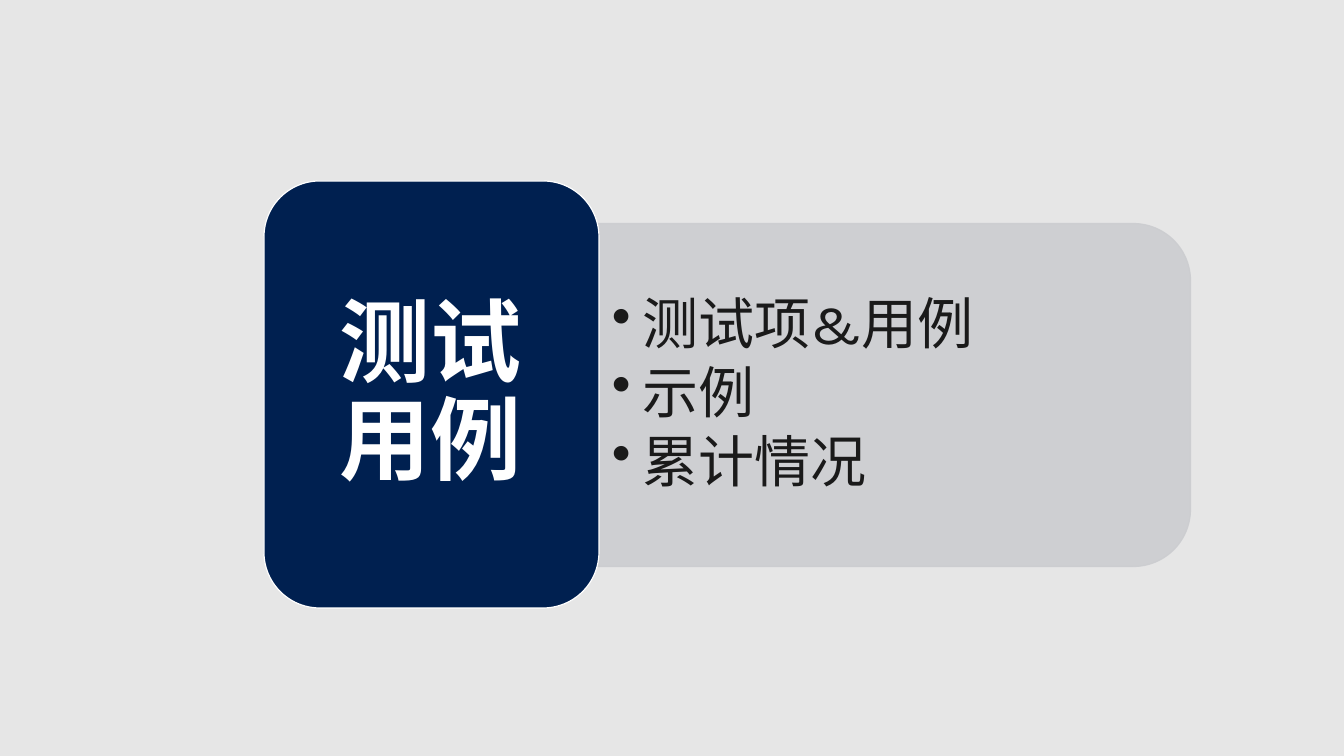
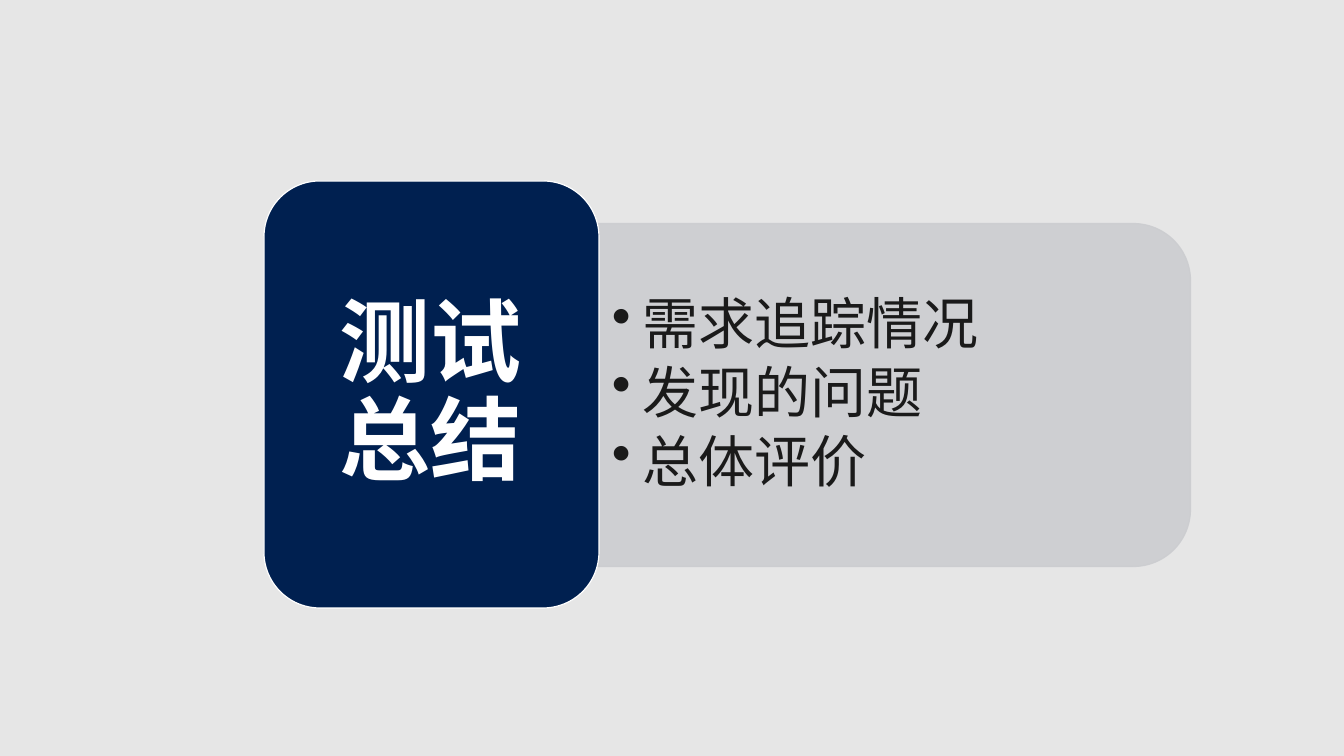
from lxml.etree import SubElement
from pptx import Presentation
from pptx.dml.color import RGBColor
from pptx.enum.shapes import MSO_SHAPE as SHAPE
from pptx.enum.text import MSO_ANCHOR as ANCHOR, MSO_AUTO_SIZE as AUTOSIZE, PP_ALIGN as ALIGN
from pptx.oxml.ns import qn
from pptx.util import Emu, Pt

SCALE = 12192000 / 1344
FONT = "Karla"
COLORS = {
    "back": "E6E6E6",
    "panel": "CCCDD0",
    "card": "002050",
    "white": "FFFFFF",
    "ink": "1A1A1A",
}
SECTIONS = [
    ("测试用例", ["测试项&用例", "示例", "累计情况"]),
    ("测试总结", ["需求追踪情况", "发现的问题", "总体评价"]),
]


def px(*lengths):
    return [Emu(round(n * SCALE)) for n in lengths]


def add_text(tf, lines, size, color, bold, align, after, insets):
    tf.word_wrap = True
    tf.auto_size = AUTOSIZE.NONE
    tf.vertical_anchor = ANCHOR.MIDDLE
    tf.margin_left, tf.margin_top = tf.margin_right, tf.margin_bottom = px(*insets)
    for i, line in enumerate(lines):
        p = tf.paragraphs[0] if i == 0 else tf.add_paragraph()
        p.alignment = align
        p.line_spacing = 0.9
        pPr = p._p.get_or_add_pPr()
        spacing = SubElement(pPr, qn("a:spcAft"))
        SubElement(spacing, qn("a:spcPct")).set("val", str(after * 1000))
        r = p.add_run()
        r.text = line
        r.font.name = FONT
        r.font.size = Pt(size)
        r.font.bold = bold
        r.font.color.rgb = RGBColor.from_string(COLORS[color])


prs = Presentation()
prs.slide_width, prs.slide_height = px(1344, 756)
back = prs.slide_master.background.fill
back.solid()
back.fore_color.rgb = RGBColor.from_string(COLORS["back"])

for heading, items in SECTIONS:
    s = prs.slides.add_slide(prs.slide_layouts[5])

    panel = s.shapes.add_shape(SHAPE.ROUND_2_SAME_RECTANGLE, *px(721, 97, 343, 596))
    panel.rotation = 90
    box = s.shapes.add_textbox(*px(595, 241, 579, 308))
    card = s.shapes.add_shape(SHAPE.ROUNDED_RECTANGLE, *px(264, 181, 335, 427))

    for sp, fill, line in [(panel, "panel", "panel"), (card, "card", "white")]:
        sp.shadow.inherit = False
        sp.fill.solid()
        sp.fill.fore_color.rgb = RGBColor.from_string(COLORS[fill])
        sp.line.color.rgb = RGBColor.from_string(COLORS[line])
        sp.line.width = Pt(0.85)
    for clr in list(panel.element.spPr.iter(qn("a:srgbClr"))):
        SubElement(clr, qn("a:alpha")).set("val", "90000")

    add_text(box.text_frame, items, 40, "ink", False, ALIGN.LEFT, 15, (17, 8))
    indent = px(31)[0]
    for p in box.text_frame.paragraphs:
        pPr = p._p.get_or_add_pPr()
        pPr.set("marL", str(indent))
        pPr.set("indent", str(-indent))
        SubElement(pPr, qn("a:buChar")).set("char", "•")

    title = s.shapes.title
    title.left, title.top, title.width, title.height = px(280, 198, 302, 394)
    add_text(title.text_frame, [heading], 65, "white", True, ALIGN.CENTER, 35, (27, 14))
    card.element.addnext(title.element)

prs.save("out.pptx")
